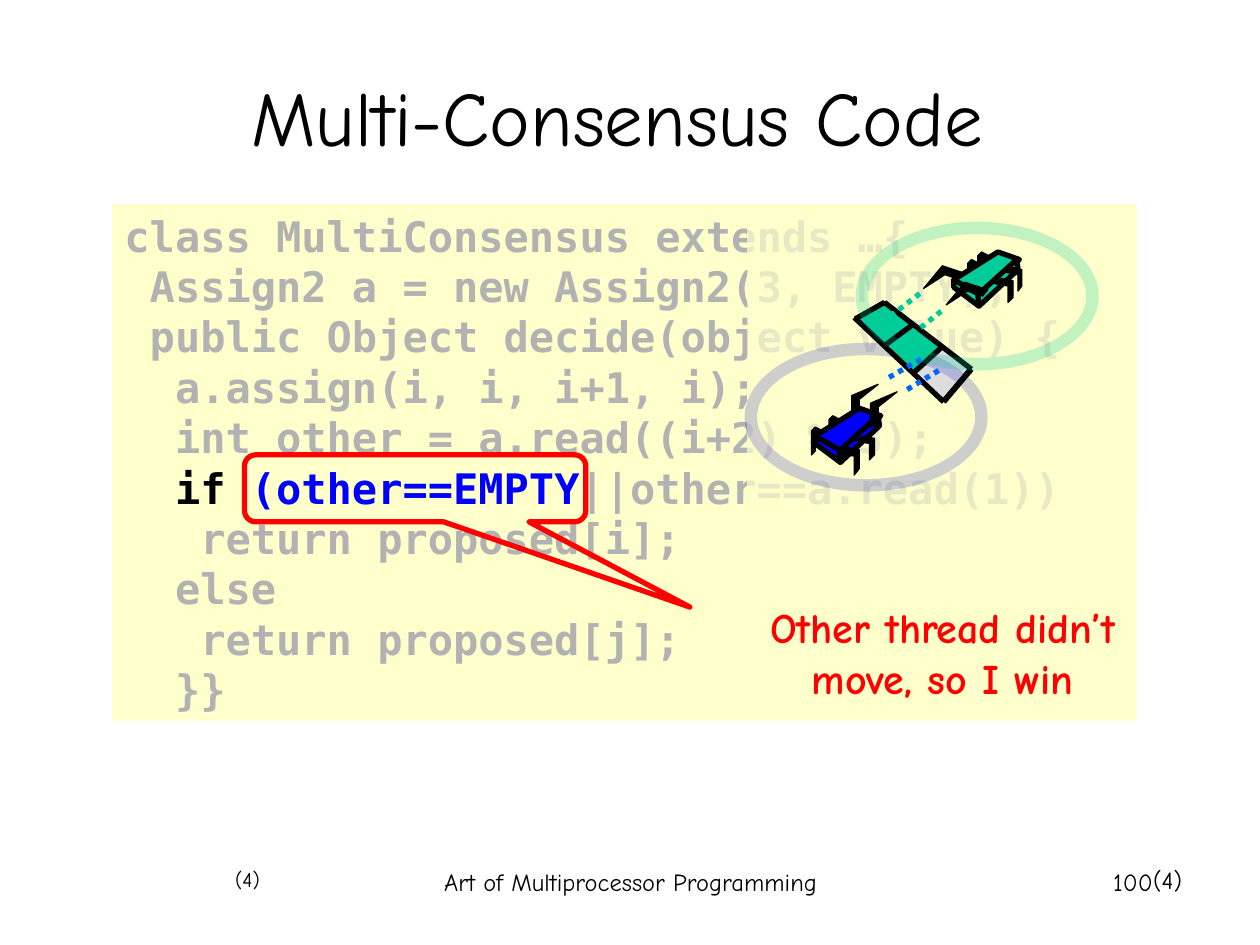
"""Build the Multi-Consensus Code slide with its two threads sharing memory."""
from dataclasses import dataclass

from lxml.etree import SubElement
from pptx import Presentation
from pptx.dml.color import RGBColor as Color
from pptx.enum.dml import MSO_LINE as Dash
from pptx.enum.shapes import MSO_CONNECTOR as Connector, MSO_SHAPE as Shape
from pptx.enum.text import MSO_ANCHOR as Anchor, PP_ALIGN as Align
from pptx.oxml.ns import qn
from pptx.util import Cm, Pt


@dataclass(frozen=True)
class Theme:
    """Colours, fonts and sizes of the slide."""
    paper: str = "FFFFCC"
    ink: str = "000000"
    faded: str = "B2B2B2"
    keyword: str = "0000FF"
    alert: str = "FF0000"
    blue_halo: str = "3333CC"
    green: str = "00CC99"
    signal: str = "0066FF"
    empty: str = "DDDDDD"
    text_font: str = "Comic Neue"
    code_font: str = "DejaVu Sans Mono"
    title_size: int = 44
    body_size: int = 24
    footer_size: int = 14
    note_size: int = 12
    thin: float = 0.75
    thick: float = 3


THEME = Theme()
GRID = Cm(2.54) / 100

CODE = [
    [("class MultiConsensus extends …{", THEME.faded)],
    [(" Assign2 a = new Assign2(3, EMPTY);", THEME.faded)],
    [(" public Object decide(object value) {", THEME.faded)],
    [("  a.assign(i, i, i+1, i);", THEME.faded)],
    [("  int other = a.read((i+2) % 3);", THEME.faded)],
    [("  if", THEME.ink), (" (other==EMPTY", THEME.keyword),
     ("||other==a.read(1))", THEME.faded)],
    [("   return proposed[i];", THEME.faded)],
    [("  else", THEME.faded)],
    [("   return proposed[j];", THEME.faded)],
    [("  }}", THEME.faded)],
]

BODY = [
    [(35, 0), (0, 22), (20, 34), (52, 6)],
    [(50, 6), (19, 34), (20, 43), (51, 14)],
    [(0, 22), (0, 28), (20, 43), (19, 33)],
]
BACK_LEG = [(9, 3), (3, 0), (0, 3), (0, 22), (3, 19), (3, 7), (9, 10)]
FRONT_LEG = [(6, 0), (0, 4), (11, 6), (11, 18), (15, 14), (15, 2)]
RISING_CLAW = [(0, 28), (6, 25), (6, 12), (21, 0), (0, 9)]
FALLING_CLAW = [(33, 6), (29, 11), (17, 7), (0, 18), (15, 0)]

BLUE_BUG = {
    "color": THEME.keyword, "body": (647, 324), "claw": RISING_CLAW,
    "claws": [(676, 305), (691, 311)],
    "back_legs": [(644, 339), (658, 330)],
    "front_legs": [(666, 355, 16, 22), (679, 346, 15, 19)],
}
GREEN_BUG = {
    "color": THEME.green, "body": (757, 200), "claw": FALLING_CLAW,
    "claws": [(733, 211), (751, 224)],
    "back_legs": [(776, 200), (768, 206)],
    "front_legs": [(798, 212, 13, 19), (789, 221, 15, 19)],
}

EMPTY_CELLS = [
    [(747, 275), (725, 296), (750, 317), (771, 293)],
    [(701, 239), (679, 252), (748, 317), (770, 291)],
]
WRITTEN_CELLS = [
    [(702, 274), (725, 297), (748, 275), (724, 258)],
    [(701, 240), (680, 252), (701, 275), (723, 258)],
]
CELL_EDGES = [
    (678, 252, 749, 319), (702, 240, 771, 293), (679, 253, 702, 240),
    (749, 319, 771, 293), (725, 296, 748, 275), (701, 275, 724, 258),
]
GREEN_SIGNALS = [(730, 233, 704, 253), (747, 247, 721, 268)]
BLUE_SIGNALS = [(731, 285, 703, 301), (745, 294, 717, 311)]


def apply_format(target, values):
    """Set each named attribute of the target."""
    for name, value in values.items():
        setattr(target, name, value)


def paint(shape, fill=None, opacity=100, line=None, width=THEME.thin):
    """Give a shape its fill, opacity and outline, without a shadow."""
    shape.shadow.inherit = False
    if fill:
        shape.fill.solid()
        shape.fill.fore_color.rgb = Color.from_string(fill)
        if opacity < 100:
            color = shape.fill._xPr.find(qn("a:solidFill"))[0]
            SubElement(color, qn("a:alpha")).set("val", str(opacity * 1000))
    else:
        shape.fill.background()
    if line:
        shape.line.color.rgb = Color.from_string(line)
        shape.line.width = Pt(width)
    else:
        shape.line.fill.background()


def add_preset(slide, kind, box, adjustments=(), **look):
    """Add a painted preset shape in a box given in centimetres."""
    shape = slide.shapes.add_shape(kind, *map(Cm, box))
    for index, value in enumerate(adjustments):
        shape.adjustments[index] = value
    paint(shape, **look)
    return shape


def write(shape, lines, size, font=THEME.text_font, align=Align.LEFT,
          bold=False, wrap=True, anchor=Anchor.TOP):
    """Fill a shape with lines made of (text, colour) runs."""
    frame = shape.text_frame
    apply_format(frame, {"word_wrap": wrap, "vertical_anchor": anchor})
    for index, runs in enumerate(lines):
        paragraph = frame.add_paragraph() if index else frame.paragraphs[0]
        paragraph.alignment = align
        for text, color in runs:
            run = paragraph.add_run()
            run.text = text
            apply_format(run.font, {"name": font, "size": Pt(size), "bold": bold})
            run.font.color.rgb = Color.from_string(color)


def add_label(slide, text, box, size, color=THEME.ink, **layout):
    """Add a one-paragraph text box."""
    shape = slide.shapes.add_textbox(*map(Cm, box))
    write(shape, [[(text, color)]], size, **layout)


def add_outline(slide, points, color, origin=(0, 0), stretch=(1, 1), width=THEME.thin):
    """Add a closed, black-edged polygon placed on the drawing grid."""
    placed = [tuple(start + value * factor
                    for start, value, factor in zip(origin, point, stretch))
              for point in points]
    builder = slide.shapes.build_freeform(*placed[0], scale=GRID)
    builder.add_line_segments(placed[1:], close=True)
    paint(builder.convert_to_shape(), fill=color, line=THEME.ink, width=width)


def add_lines(slide, lines, color, dash=None):
    """Add straight thick lines given by their ends on the drawing grid."""
    for ends in lines:
        connector = slide.shapes.add_connector(
            Connector.STRAIGHT, *(round(value * GRID) for value in ends))
        apply_format(connector.line, {"width": Pt(THEME.thick), "dash_style": dash})
        connector.line.color.rgb = Color.from_string(color)
        SubElement(connector._element.spPr, qn("a:effectLst"))


def add_bug(slide, bug):
    """Draw a thread as a bug with a box body, four legs and two claws."""
    first_claw, second_claw = bug["claws"]
    add_outline(slide, bug["claw"], THEME.ink, first_claw)
    for origin in bug["back_legs"]:
        add_outline(slide, BACK_LEG, THEME.ink, origin)
    for face in BODY:
        add_outline(slide, face, bug["color"], bug["body"], width=THEME.thick)
    for left, top, width, height in bug["front_legs"]:
        add_outline(slide, FRONT_LEG, THEME.ink, (left, top), (width / 15, height / 18))
    add_outline(slide, bug["claw"], THEME.ink, second_claw)


def add_halo(slide, left, top, color):
    """Add a translucent ring around a thread and its cells."""
    add_preset(slide, Shape.DONUT, (left, top, 4.9, 3), [0.084], fill=color, opacity=24)


def add_memory_scene(slide):
    """Draw the shared cells, both threads and their signals."""
    for cell in EMPTY_CELLS:
        add_outline(slide, cell, THEME.empty)
    add_halo(slide, 15.01, 6.91, THEME.blue_halo)
    for cell in WRITTEN_CELLS:
        add_outline(slide, cell, THEME.green)
    for bug in (BLUE_BUG, GREEN_BUG):
        add_bug(slide, bug)
    add_lines(slide, CELL_EDGES, THEME.ink)
    add_lines(slide, GREEN_SIGNALS, THEME.green, Dash.ROUND_DOT)
    add_lines(slide, BLUE_SIGNALS, THEME.signal, Dash.ROUND_DOT)
    add_halo(slide, 17.25, 4.47, THEME.green)


def main():
    """Build and save the slide."""
    presentation = Presentation()
    apply_format(presentation, {"slide_width": Cm(25.4), "slide_height": Cm(19.05)})
    slide = presentation.slides.add_slide(presentation.slide_layouts[6])
    panel = add_preset(slide, Shape.RECTANGLE, (2.26, 4.11, 20.66, 10.42), fill=THEME.paper)
    write(panel, CODE, THEME.body_size, THEME.code_font, bold=True)
    add_preset(slide, Shape.RECTANGLE, (15.06, 4.14, 7.87, 6.3), fill=THEME.paper, opacity=70)
    add_label(slide, "Multi-Consensus Code", (1.65, 0.74, 21.59, 3.18), THEME.title_size,
              align=Align.CENTER, anchor=Anchor.MIDDLE)
    add_label(slide, "(4)", (4.29, 17.35, 1.2, 0.76), THEME.note_size,
              align=Align.RIGHT, wrap=False)
    add_label(slide, "(4)", (22.88, 17.32, 1.2, 0.86), THEME.footer_size,
              align=Align.RIGHT, wrap=False)
    add_preset(slide, Shape.ROUNDED_RECTANGULAR_CALLOUT, (4.93, 9.17, 6.88, 1.35),
               [0.805, 1.774, 0.167], line=THEME.alert, width=THEME.thick)
    add_label(slide, "Other thread didn’t move, so I win", (14.58, 12.01, 8.84, 2.29),
              THEME.body_size, THEME.alert, align=Align.CENTER, bold=True)
    add_memory_scene(slide)
    add_label(slide, "Art of Multiprocessor Programming", (8.69, 17.35, 8.05, 1.27),
              THEME.footer_size, align=Align.CENTER)
    add_label(slide, "100", (18.21, 17.35, 5.28, 1.27), THEME.footer_size, align=Align.RIGHT)
    presentation.save("out.pptx")


if __name__ == "__main__":
    main()
